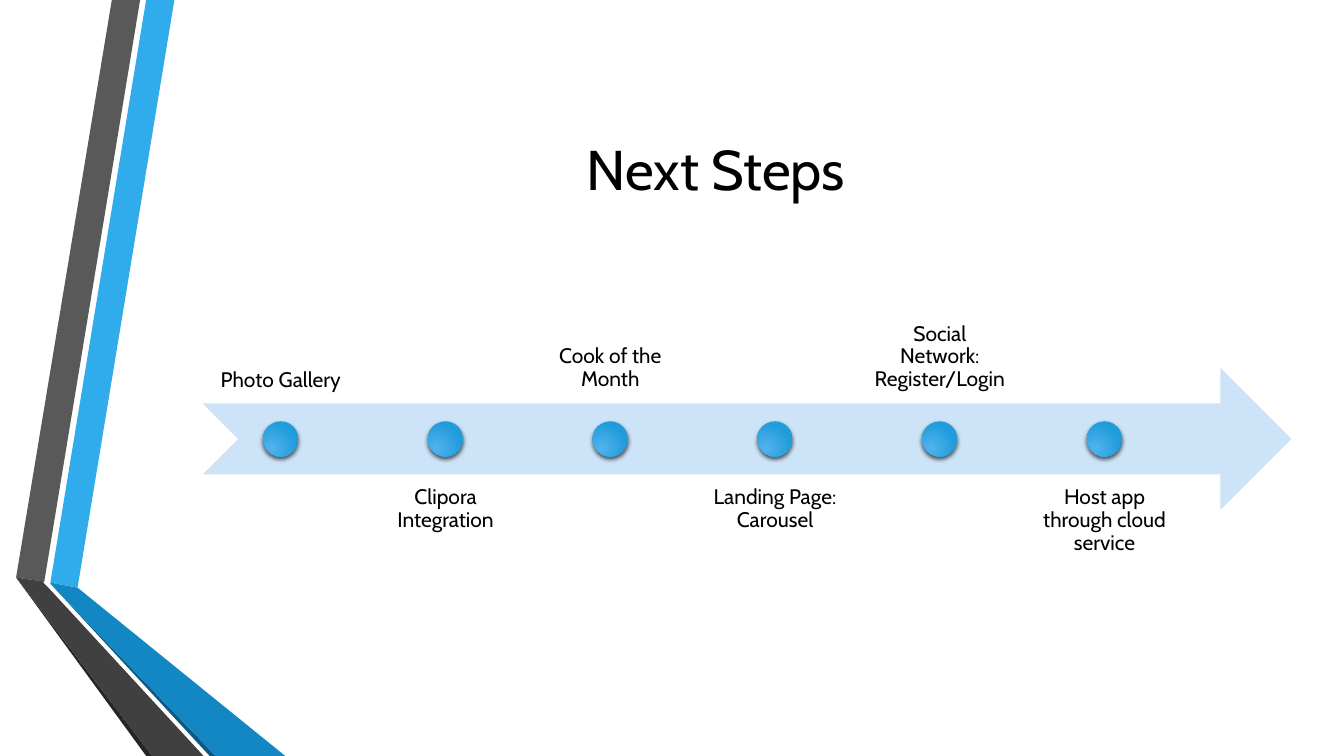
from lxml.etree import SubElement
from pptx import Presentation
from pptx.dml.color import RGBColor
from pptx.enum.shapes import MSO_SHAPE
from pptx.enum.text import MSO_ANCHOR, PP_ALIGN
from pptx.oxml.ns import qn
from pptx.util import Pt

PX = 9144
FONT = "Cabin"
BLACK = "000000"
DOT_COLORS = ["51B3ED", "219CDB"]
RIBBONS = [
    ("30ACEC", [(34, 578), (61, 583), (157, 0), (129, 0)]),
    ("595959", [(123, 0), (95, 0), (0, 573), (28, 577)]),
    ("262626", [(0, 573), (129, 750), (135, 750)]),
    ("0C5A82", [(34, 579), (192, 750), (198, 750)]),
    ("1287C3", [(34, 579), (198, 750), (267, 750), (61, 583), (34, 578)]),
    ("404040", [(186, 750), (32, 583), (27, 578), (28, 577), (0, 573), (135, 750)]),
]
STEPS = [
    "Photo Gallery",
    "Clipora Integration",
    "Cook of the Month",
    "Landing Page: Carousel",
    "Social Network: Register/Login",
    "Host app through cloud service",
]


def rgb(color):
    return RGBColor.from_string(color)


def emu(*lengths):
    return [round(length * PX) for length in lengths]


def set_values(target, values):
    for key, value in values.items():
        setattr(target, key, value)


def paint(shape, color):
    shape.shadow.inherit = False
    shape.fill.solid()
    shape.fill.fore_color.rgb = rgb(color)
    shape.line.fill.background()


def write(frame, text, size, anchor, inset=10):
    margin = inset * PX
    set_values(frame, {
        "text": text, "word_wrap": True, "vertical_anchor": anchor,
        "margin_left": margin, "margin_right": margin,
        "margin_top": margin, "margin_bottom": margin,
    })
    paragraph = frame.paragraphs[0]
    set_values(paragraph, {"alignment": PP_ALIGN.CENTER, "line_spacing": 0.9})
    set_values(paragraph.font, {"name": FONT, "size": Pt(size)})
    paragraph.font.color.rgb = rgb(BLACK)


def add_ribbons(slide, box):
    left, top = box[:2]
    for color, outline in RIBBONS:
        points = [(left + x, top + y) for x, y in outline]
        builder = slide.shapes.build_freeform(*points[0], scale=PX)
        builder.add_line_segments(points[1:], close=True)
        paint(builder.convert_to_shape(), color)


def add_title(slide, box):
    title = slide.shapes.title
    set_values(title, dict(zip(("left", "top", "width", "height"), emu(*box))))
    write(title.text_frame, "Next Steps", 40, MSO_ANCHOR.MIDDLE)


def add_dot(slide, box):
    dot = slide.shapes.add_shape(MSO_SHAPE.OVAL, *emu(*box))
    paint(dot, DOT_COLORS[0])
    dot.fill.gradient()
    for stop, color, position in zip(dot.fill.gradient_stops, DOT_COLORS, (0, 1)):
        set_values(stop, {"position": position})
        stop.color.rgb = rgb(color)
    properties = dot.element.spPr
    gradient = properties.find(qn("a:gradFill"))
    gradient.remove(gradient.find(qn("a:lin")))
    radial = SubElement(gradient, qn("a:path"), {"path": "circle"})
    SubElement(radial, qn("a:fillToRect"),
               {"l": "50000", "t": "100000", "r": "100000", "b": "50000"})
    shadow = SubElement(properties.find(qn("a:effectLst")), qn("a:outerShdw"), {
        "blurRad": str(Pt(3)), "dist": str(Pt(2)), "dir": "5400000", "rotWithShape": "0"})
    shade = SubElement(shadow, qn("a:srgbClr"), {"val": BLACK})
    SubElement(shade, qn("a:alpha"), {"val": "64000"})


def add_timeline(slide, box):
    left, top, width, height = box
    band, label_width, dot_size = 141, 155, 35
    arrow = slide.shapes.add_shape(
        MSO_SHAPE.NOTCHED_RIGHT_ARROW, *emu(left, top + (height - band) / 2, width, band))
    paint(arrow, "CDE3F8")
    pitch = (width * 0.9 - label_width) / (len(STEPS) - 1)
    for index, step in enumerate(STEPS):
        step_left = left + index * pitch
        below = index % 2
        label_top = top + below * (height - band)
        label = slide.shapes.add_textbox(*emu(step_left, label_top, label_width, band))
        write(label.text_frame, step, 15,
              MSO_ANCHOR.TOP if below else MSO_ANCHOR.BOTTOM, inset=12)
        add_dot(slide, (step_left + (label_width - dot_size) / 2,
                        top + (height - dot_size) / 2, dot_size, dot_size))


def main():
    deck = Presentation()
    set_values(deck, {"slide_width": 1333 * PX, "slide_height": 750 * PX})
    slide = deck.slides.add_slide(deck.slide_layouts[5])
    add_ribbons(slide, (16, 0, 267, 750))
    add_title(slide, (162, 75, 1096, 192))
    add_timeline(slide, (201, 259, 1080, 353))
    deck.save("out.pptx")


if __name__ == "__main__":
    main()
